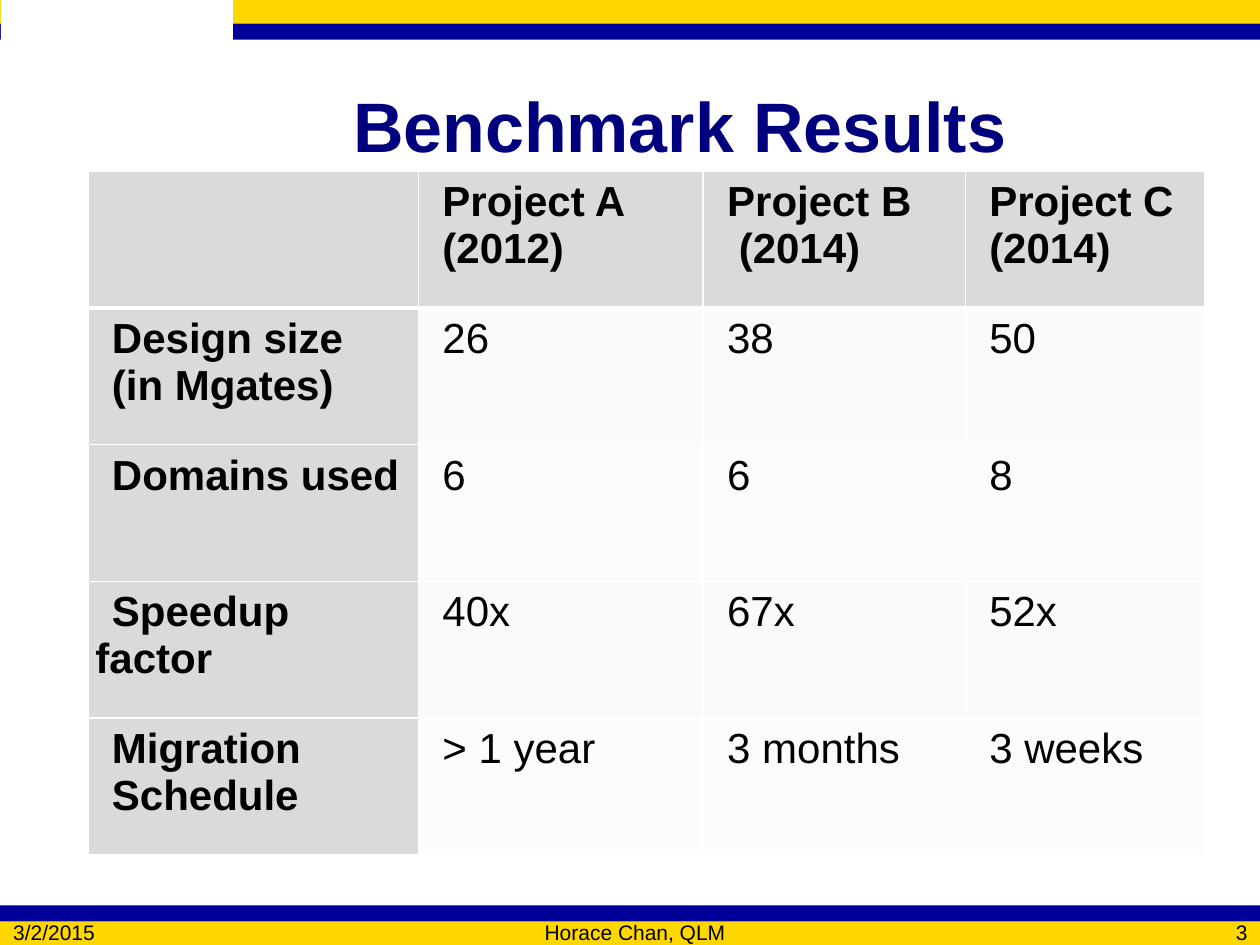
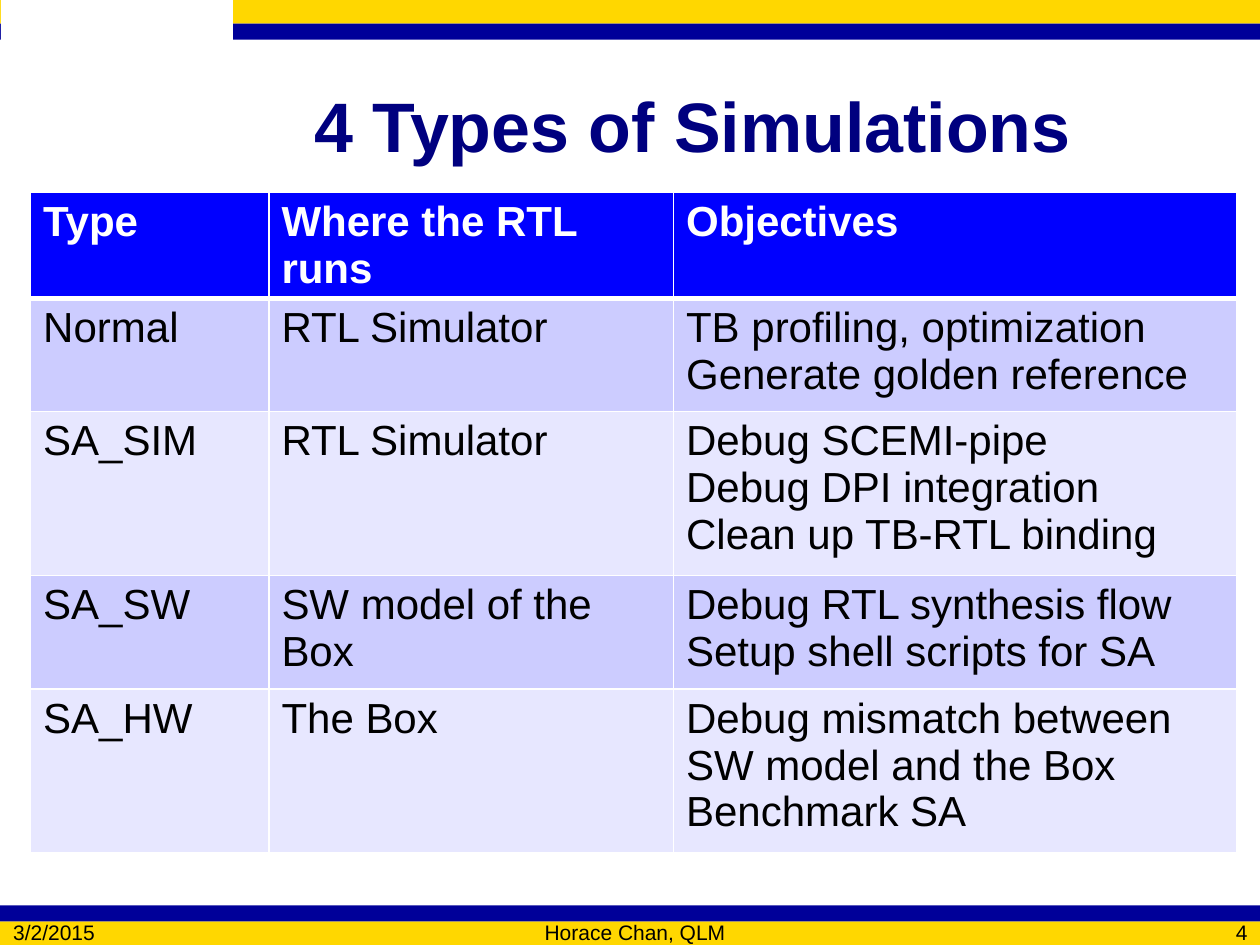
import pptx
import pptx.dml.color
import pptx.enum.shapes
import pptx.enum.text
import pptx.oxml
import pptx.oxml.ns
import pptx.util
from lxml import etree

Pt = pptx.util.Pt
RGBColor = pptx.dml.color.RGBColor
Align = pptx.enum.text.PP_ALIGN
Anchor = pptx.enum.text.MSO_ANCHOR

GOLD = RGBColor(0xFF, 0xD7, 0x00)
BAND_BLUE = RGBColor(0x00, 0x00, 0x99)
TITLE_NAVY = RGBColor(0x00, 0x00, 0x7F)
WHITE = RGBColor(0xFF, 0xFF, 0xFF)
BLACK = RGBColor(0x00, 0x00, 0x00)
HEADER_GRAY = RGBColor(0xDA, 0xDA, 0xDA)
GRAY_STRIPES = (RGBColor(0xFA, 0xFA, 0xFA), RGBColor(0xFC, 0xFC, 0xFC))
HEADER_BLUE = RGBColor(0x00, 0x00, 0xFF)
BLUE_STRIPES = (RGBColor(0xCC, 0xCC, 0xFF), RGBColor(0xE7, 0xE7, 0xFF))

SLIDE_WIDTH, SLIDE_HEIGHT = 720, 540
GOLD_HEIGHT, BLUE_HEIGHT = 13.5, 9.2
SPACE_WIDTH = 11.12
DATE = "3/2/2015"
AUTHOR = "Horace Chan, QLM"

BANDS = (
    (0, 0, SLIDE_WIDTH, GOLD_HEIGHT, GOLD),
    (0, GOLD_HEIGHT, SLIDE_WIDTH, BLUE_HEIGHT, BAND_BLUE),
    (0.6, 0, 132.5, 78, WHITE),
    (0, SLIDE_HEIGHT - GOLD_HEIGHT, SLIDE_WIDTH, GOLD_HEIGHT, GOLD),
    (0, SLIDE_HEIGHT - GOLD_HEIGHT - BLUE_HEIGHT, SLIDE_WIDTH, BLUE_HEIGHT, BAND_BLUE),
)

BENCHMARK = {
    "origin": (50.3, 97.9),
    "columns": (188.9, 162.7, 149.8, 136.8),
    "rows": (78.1,) * 5,
    "margins": (4.3, 4.3),
    "first_line": 9.4,
    "alignment": Align.JUSTIFY,
    "header_fill": HEADER_GRAY,
    "header_color": BLACK,
    "header_column": True,
    "stripes": GRAY_STRIPES,
    "cells": (
        ("", "Project A\n(2012)", "Project B\n (2014)", "Project C\n(2014)"),
        ("Design size\n(in Mgates)", "26", "38", "50"),
        ("Domains used", "6", "6", "8"),
        ("Speedup factor", "40x", "67x", "52x"),
        ("Migration\nSchedule", "> 1 year", "3 months", "3 weeks"),
    ),
}

SIMULATIONS = {
    "origin": (17.5, 109.7),
    "columns": (136.2, 231.2, 321.7),
    "rows": (36, 64.8, 93.6, 64.8, 93.6),
    "margins": (7.2, 3.6),
    "first_line": 0,
    "alignment": Align.LEFT,
    "header_fill": HEADER_BLUE,
    "header_color": WHITE,
    "header_column": False,
    "stripes": BLUE_STRIPES,
    "cells": (
        ("Type", "Where the RTL runs", "Objectives"),
        ("Normal", "RTL Simulator", "TB profiling, optimization\nGenerate golden reference"),
        ("SA_SIM", "RTL Simulator",
         "Debug SCEMI-pipe\nDebug DPI integration\nClean up TB-RTL binding"),
        ("SA_SW", "SW model of the Box",
         "Debug RTL synthesis flow\nSetup shell scripts for SA"),
        ("SA_HW", "The Box",
         "Debug mismatch between SW model and the Box\nBenchmark SA"),
    ),
}


def apply_format(target, values):
    for name, value in values.items():
        setattr(target, name, value)


def format_text(text_frame, size, color, bold, alignment, first_line=0):
    for paragraph in text_frame.paragraphs:
        paragraph.alignment = alignment
        if first_line:
            properties = paragraph._p.get_or_add_pPr()
            properties.set("marL", "0")
            properties.set("indent", str(Pt(first_line)))
        for run in paragraph.runs:
            apply_format(run.font, {"name": "Arial", "size": Pt(size), "bold": bold})
            run.font.color.rgb = color


def place(shape, left, top, width, height):
    apply_format(shape, {"left": Pt(left), "top": Pt(top),
                         "width": Pt(width), "height": Pt(height)})


def add_band(slide, left, top, width, height, color):
    band = slide.shapes.add_shape(pptx.enum.shapes.MSO_SHAPE.RECTANGLE,
                                  Pt(left), Pt(top), Pt(width), Pt(height))
    band.shadow.inherit = False
    band.fill.solid()
    band.fill.fore_color.rgb = color
    band.line.fill.background()


def set_title(slide, text, indent):
    title = slide.shapes.title
    place(title, 139, 25.9, 568.8, 90)
    text_frame = title.text_frame
    text_frame.text = text
    apply_format(text_frame, {"word_wrap": True, "vertical_anchor": Anchor.MIDDLE,
                              "auto_size": pptx.enum.text.MSO_AUTO_SIZE.NONE,
                              "margin_left": Pt(7.2 + indent)})
    format_text(text_frame, 40, TITLE_NAVY, True, Align.LEFT)


def add_footer_text(slide, text, left, width, alignment):
    box = slide.shapes.add_textbox(Pt(left), Pt(526.5), Pt(width), Pt(12.5))
    text_frame = box.text_frame
    text_frame.text = text
    apply_format(text_frame, {"word_wrap": True, "vertical_anchor": Anchor.MIDDLE,
                              "margin_top": 0, "margin_bottom": 0})
    format_text(text_frame, 12, BLACK, False, alignment)


def add_borders(cell, bottom_width):
    properties = cell._tc.get_or_add_tcPr()
    for side in "LRTB":
        width = bottom_width if side == "B" else 1
        line = etree.SubElement(properties, pptx.oxml.ns.qn(f"a:ln{side}"), w=str(Pt(width)))
        fill = etree.SubElement(line, pptx.oxml.ns.qn("a:solidFill"))
        etree.SubElement(fill, pptx.oxml.ns.qn("a:srgbClr"), val=str(WHITE))


def format_cell(cell, text, row, column, layout):
    is_top = row == 0
    is_header = is_top or (layout["header_column"] and column == 0)
    across, down = layout["margins"]
    apply_format(cell, {"margin_left": Pt(across), "margin_right": Pt(across),
                        "margin_top": Pt(down), "margin_bottom": Pt(down)})
    add_borders(cell, 3 if is_top else 1)
    cell.fill.solid()
    cell.fill.fore_color.rgb = (layout["header_fill"] if is_header
                                else layout["stripes"][(row - 1) % 2])
    cell.text_frame.text = text
    format_text(cell.text_frame, 24, layout["header_color"] if is_header else BLACK,
                is_header, layout["alignment"], layout["first_line"])


def add_grid(slide, layout):
    columns, rows = layout["columns"], layout["rows"]
    left, top = layout["origin"]
    table = slide.shapes.add_table(len(rows), len(columns), Pt(left), Pt(top),
                                   Pt(sum(columns)), Pt(sum(rows))).table
    for column, width in zip(table.columns, columns):
        column.width = Pt(width)
    for row, height in zip(table.rows, rows):
        row.height = Pt(height)
    for row, texts in enumerate(layout["cells"]):
        for column, text in enumerate(texts):
            format_cell(table.cell(row, column), text, row, column, layout)


def add_table_slide(presentation, title, indent, layout, number):
    slide = presentation.slides.add_slide(presentation.slide_layouts[5])
    for band in BANDS:
        add_band(slide, *band)
    set_title(slide, title, indent)
    add_grid(slide, layout)
    add_footer_text(slide, DATE, 0.5, 83.5, Align.LEFT)
    add_footer_text(slide, AUTHOR, 90, 545.8, Align.CENTER)
    add_footer_text(slide, str(number), 648, 72, Align.RIGHT)


def main():
    presentation = pptx.Presentation()
    apply_format(presentation, {"slide_width": Pt(SLIDE_WIDTH),
                                "slide_height": Pt(SLIDE_HEIGHT)})
    add_table_slide(presentation, "Benchmark Results", 5 * SPACE_WIDTH, BENCHMARK, 3)
    add_table_slide(presentation, "4 Types of Simulations", 3 * SPACE_WIDTH, SIMULATIONS, 4)
    presentation.save("out.pptx")


if __name__ == "__main__":
    main()
